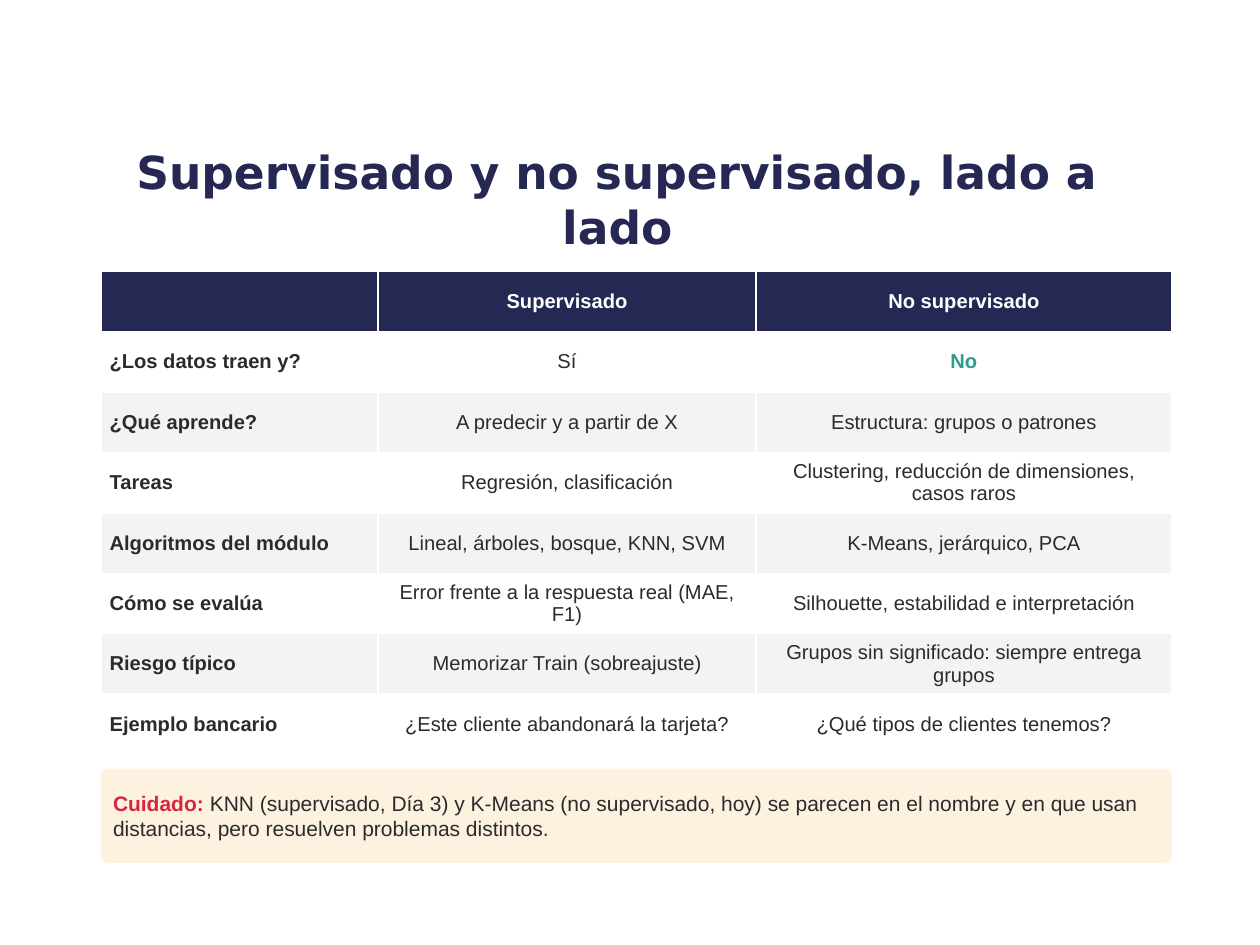
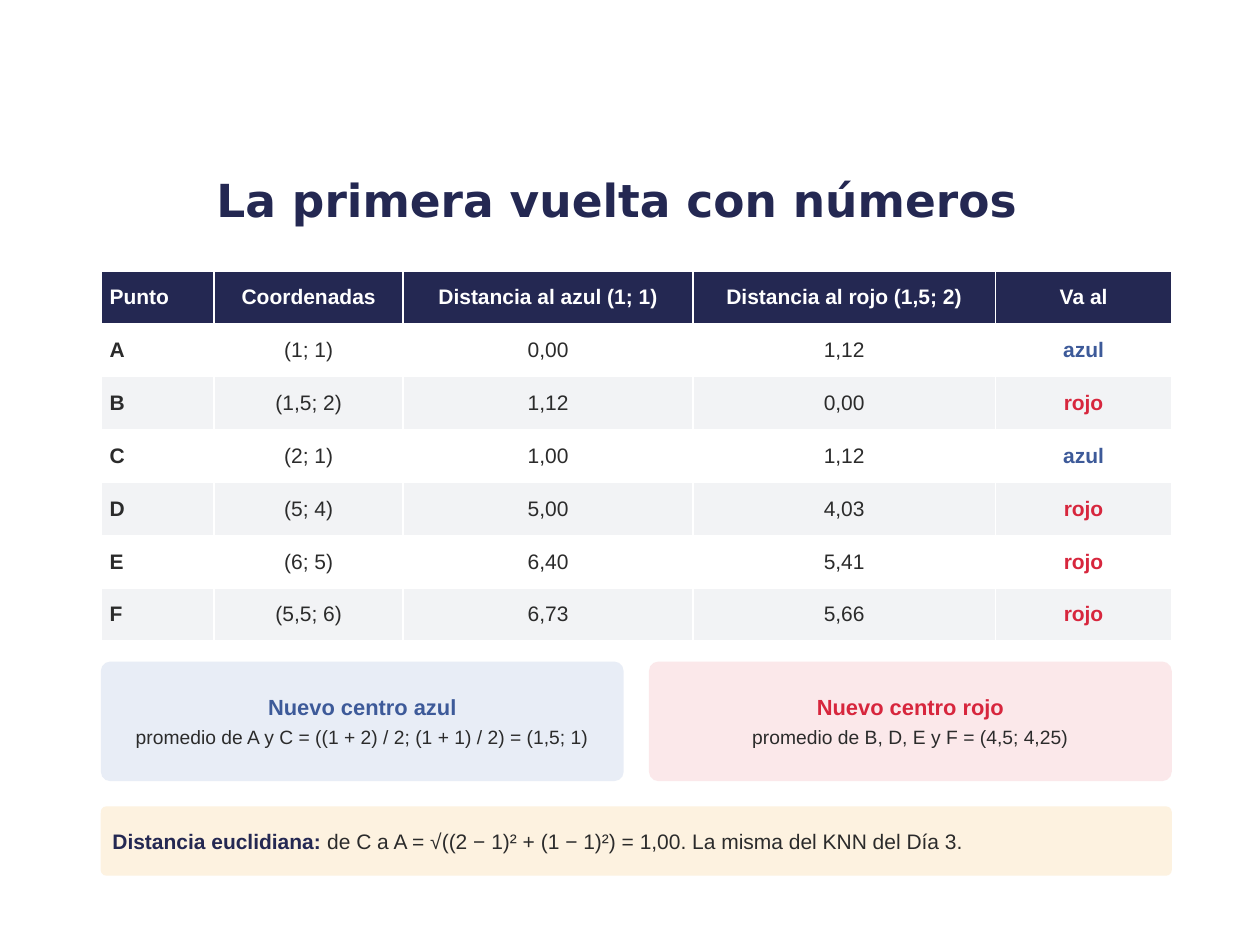
from pptx import Presentation
from pptx.dml.color import RGBColor
from pptx.enum.shapes import MSO_SHAPE
from pptx.enum.text import MSO_ANCHOR, PP_ALIGN
from pptx.util import Emu, Pt

PX = 9144  # EMU in one px, 100 px to the inch

NAVY = RGBColor(0x24, 0x28, 0x52)
INK = RGBColor(0x2B, 0x2B, 0x2B)
WHITE = RGBColor(0xFF, 0xFF, 0xFF)
STRIPE = RGBColor(0xF2, 0xF3, 0xF5)
TEAL = RGBColor(0x2A, 0x9D, 0x8F)
BLUE = RGBColor(0x3D, 0x5A, 0x99)
RED = RGBColor(0xD7, 0x26, 0x3D)
CREAM = RGBColor(0xFD, 0xF2, 0xE0)
PALE_BLUE = RGBColor(0xE8, 0xED, 0xF6)
PALE_RED = RGBColor(0xFB, 0xE8, 0xEA)

LEFT, CENTER = PP_ALIGN.LEFT, PP_ALIGN.CENTER
MIDDLE = MSO_ANCHOR.MIDDLE
ROUNDED = MSO_SHAPE.ROUNDED_RECTANGLE

TITLE_BOX = (75, 118, 830, 80)
CONTENT_LEFT, CONTENT_WIDTH = 80, 850
TABLE_TOP = 215
CENTER_GAP = 20

COMPARISON = [
    ["", "Supervisado", "No supervisado"],
    ["¿Los datos traen y?", "Sí", "No"],
    ["¿Qué aprende?", "A predecir y a partir de X", "Estructura: grupos o patrones"],
    ["Tareas", "Regresión, clasificación",
     "Clustering, reducción de dimensiones, casos raros"],
    ["Algoritmos del módulo", "Lineal, árboles, bosque, KNN, SVM",
     "K-Means, jerárquico, PCA"],
    ["Cómo se evalúa", "Error frente a la respuesta real (MAE, F1)",
     "Silhouette, estabilidad e interpretación"],
    ["Riesgo típico", "Memorizar Train (sobreajuste)",
     "Grupos sin significado: siempre entrega grupos"],
    ["Ejemplo bancario", "¿Este cliente abandonará la tarjeta?",
     "¿Qué tipos de clientes tenemos?"],
]

DISTANCES = [
    ["Punto", "Coordenadas", "Distancia al azul (1; 1)",
     "Distancia al rojo (1,5; 2)", "Va al"],
    ["A", "(1; 1)", "0,00", "1,12", "azul"],
    ["B", "(1,5; 2)", "1,12", "0,00", "rojo"],
    ["C", "(2; 1)", "1,00", "1,12", "azul"],
    ["D", "(5; 4)", "5,00", "4,03", "rojo"],
    ["E", "(6; 5)", "6,40", "5,41", "rojo"],
    ["F", "(5,5; 6)", "6,73", "5,66", "rojo"],
]

NEW_CENTERS = [
    ("Nuevo centro azul", "promedio de A y C = ((1 + 2) / 2; (1 + 1) / 2) = (1,5; 1)",
     BLUE, PALE_BLUE),
    ("Nuevo centro rojo", "promedio de B, D, E y F = (4,5; 4,25)", RED, PALE_RED),
]


def px(*lengths):
    return [Emu(length * PX) for length in lengths]


def add_span(para, text, size=12, color=INK, bold=False, font="Arial"):
    span = para.add_run()
    span.text = text
    span.font.name = font
    span.font.size = Pt(size)
    span.font.bold = bold
    span.font.color.rgb = color


def add_title(page, text):
    frame = page.shapes.add_textbox(*px(*TITLE_BOX)).text_frame
    frame.word_wrap = True
    frame.vertical_anchor = MIDDLE
    para = frame.paragraphs[0]
    para.alignment = CENTER
    add_span(para, text, size=26, color=NAVY, bold=True, font="DejaVu Sans")


def add_grid(page, rows, widths, row_height, size, accents):
    """Striped table; accents maps the words that stand out to their colours."""
    box = px(CONTENT_LEFT, TABLE_TOP, sum(widths), row_height * len(rows))
    table = page.shapes.add_table(len(rows), len(widths), *box).table
    for column, width in zip(table.columns, px(*widths)):
        column.width = width
    for i, texts in enumerate(rows):
        for j, text in enumerate(texts):
            cell = table.cell(i, j)
            cell.fill.solid()
            cell.fill.fore_color.rgb = NAVY if i == 0 else WHITE if i % 2 else STRIPE
            cell.vertical_anchor = MIDDLE
            cell.margin_left, cell.margin_right = px(7, 7)
            cell.margin_top, cell.margin_bottom = px(3, 3)
            para = cell.text_frame.paragraphs[0]
            para.alignment = CENTER if j else LEFT
            if text:
                color = WHITE if i == 0 else accents.get(text, INK)
                bold = i == 0 or j == 0 or text in accents
                add_span(para, text, size=size, color=color, bold=bold)


def add_panel(page, box, fill, paragraphs, align=LEFT):
    """Rounded panel; each paragraph is a list of (text, format) pairs."""
    panel = page.shapes.add_shape(ROUNDED, *px(*box))
    panel.adjustments[0] = 0.08
    panel.shadow.inherit = False
    panel.fill.solid()
    panel.fill.fore_color.rgb = fill
    panel.line.fill.background()
    frame = panel.text_frame
    frame.word_wrap = True
    frame.vertical_anchor = MIDDLE
    frame.margin_left, frame.margin_top, frame.margin_right, frame.margin_bottom = px(8, 8, 8, 8)
    for i, spans in enumerate(paragraphs):
        para = frame.add_paragraph() if i else frame.paragraphs[0]
        para.alignment = align
        para.space_after = Pt(3)
        for text, style in spans:
            add_span(para, text, **style)


def add_note(page, top, height, label, label_color, text):
    add_panel(page, (CONTENT_LEFT, top, CONTENT_WIDTH, height), CREAM,
              [[(label, {"color": label_color, "bold": True}), (text, {})]])


def add_new_centers(page, top, height):
    width = (CONTENT_WIDTH - CENTER_GAP) // 2
    for i, (heading, formula, color, fill) in enumerate(NEW_CENTERS):
        left = CONTENT_LEFT + i * (width + CENTER_GAP)
        add_panel(page, (left, top, width, height), fill,
                  [[(heading, {"size": 12.5, "color": color, "bold": True})],
                   [(formula, {"size": 11})]], align=CENTER)


def add_page(deck, title):
    page = deck.slides.add_slide(deck.slide_layouts[6])
    add_title(page, title)
    return page


def build_comparison(deck):
    page = add_page(deck, "Supervisado y no supervisado, lado a lado")
    add_grid(page, COMPARISON, (220, 300, 330), 48, 11.5, {"No": TEAL})
    add_note(page, 610, 75, "Cuidado: ", RED,
             "KNN (supervisado, Día 3) y K-Means (no supervisado, hoy) se parecen en el "
             "nombre y en que usan distancias, pero resuelven problemas distintos.")


def build_first_round(deck):
    page = add_page(deck, "La primera vuelta con números")
    add_grid(page, DISTANCES, (90, 150, 230, 240, 140), 42, 12,
             {"azul": BLUE, "rojo": RED})
    add_new_centers(page, 525, 95)
    add_note(page, 640, 55, "Distancia euclidiana: ", NAVY,
             "de C a A = √((2 − 1)² + (1 − 1)²) = 1,00. La misma del KNN del Día 3.")


def main():
    deck = Presentation()
    deck.slide_width, deck.slide_height = px(1000, 750)
    build_comparison(deck)
    build_first_round(deck)
    deck.save("out.pptx")


if __name__ == "__main__":
    main()
